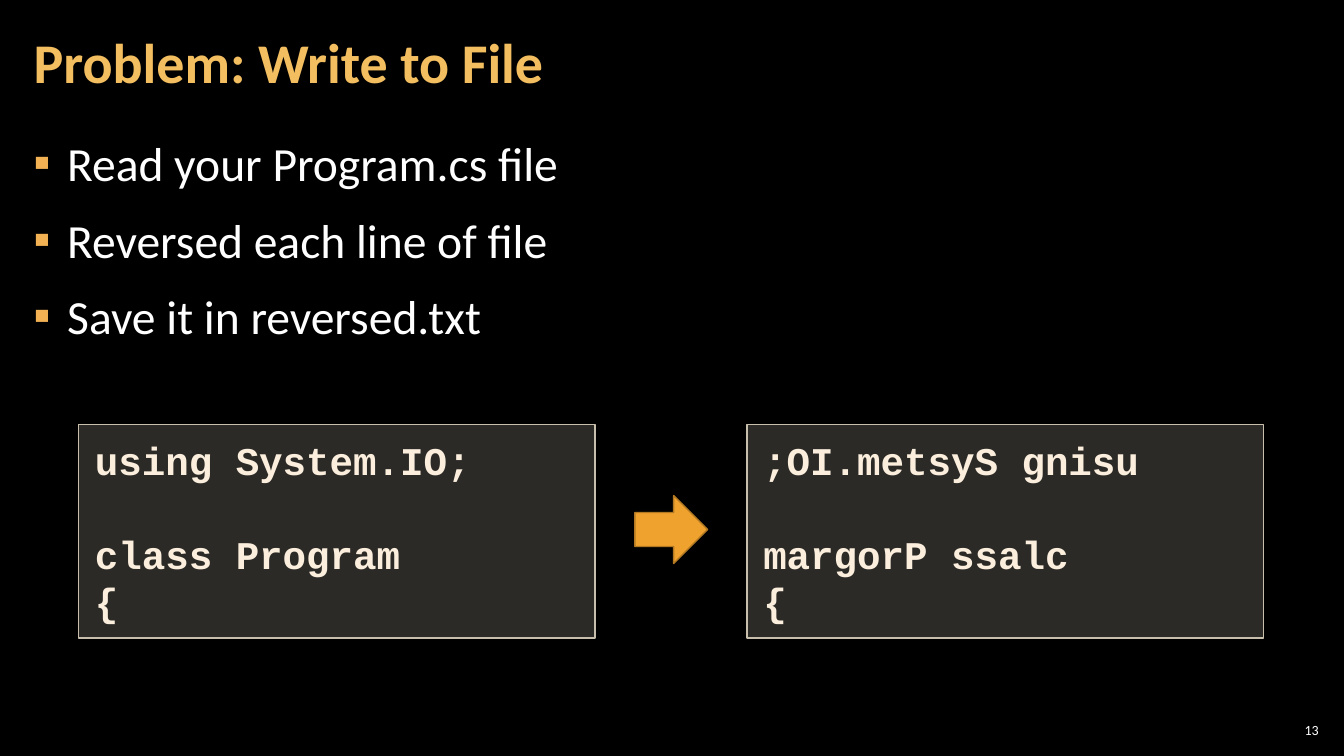
from lxml import etree
from pptx import Presentation
from pptx import util as u
from pptx.dml.color import RGBColor
from pptx.enum import shapes, text
from pptx.oxml.ns import qn

COLORS = {
    "background": "000000", "body": "FFFFFF", "title": "F3BE60", "bullet": "F2B254",
    "arrow": "F0A22E", "arrow_line": "B27822",
    "code": "FBEEDC", "panel": "D9D5C7", "panel_line": "C7BFAC",
}


def rgb(name):
    return RGBColor.from_string(COLORS[name])


def add_bullet(p, indent):
    pPr = p._p.get_or_add_pPr()
    pPr.set("marL", str(u.Pt(indent)))
    pPr.set("indent", str(-u.Pt(indent)))
    color = etree.SubElement(pPr, qn("a:buClr"))
    etree.SubElement(color, qn("a:srgbClr"), val=COLORS["bullet"])
    etree.SubElement(pPr, qn("a:buFont"), typeface="Calibri")
    etree.SubElement(pPr, qn("a:buChar"), char="▪")


def write(sp, lines, *, size, color, font="Calibri", bold=False, align="LEFT",
          anchor="TOP", margins=(9, 3), spacing=None, gap=0, indent=0):
    """Fill a shape with one paragraph per line; gap is the space before and after."""
    tf = sp.text_frame
    tf.word_wrap = True
    tf.auto_size = text.MSO_AUTO_SIZE.NONE
    tf.vertical_anchor = text.MSO_ANCHOR[anchor]
    tf.margin_left = tf.margin_right = u.Pt(margins[0])
    tf.margin_top = tf.margin_bottom = u.Pt(margins[1])
    for i, line in enumerate(lines):
        p = tf.paragraphs[0] if i == 0 else tf.add_paragraph()
        p.alignment = text.PP_ALIGN[align]
        if spacing:
            p.line_spacing = spacing
        if gap:
            p.space_before = u.Pt(gap if i else 0)
            p.space_after = u.Pt(gap)
        if indent:
            add_bullet(p, indent)
        if not line:
            etree.SubElement(p._p, qn("a:endParaRPr"), sz=str(size * 100))
            continue
        r = p.add_run()
        r.text = line
        r.font.name, r.font.size, r.font.bold = font, u.Pt(size), bold
        r.font.color.rgb = rgb(color)


class Deck:
    def __init__(self, width, height):
        self.prs = Presentation()
        self.prs.slide_width, self.prs.slide_height = u.Pt(width), u.Pt(height)
        self.s = self.prs.slides.add_slide(self.prs.slide_layouts[6])
        self.s.background.fill.solid()
        self.s.background.fill.fore_color.rgb = rgb("background")

    def label(self, box, lines, **style):
        sp = self.s.shapes.add_textbox(*map(u.Pt, box))
        write(sp, lines, **style)

    def shape(self, kind, box, fill, line, opacity=None):
        sp = self.s.shapes.add_shape(shapes.MSO_SHAPE[kind], *map(u.Pt, box))
        sp.shadow.inherit = False
        sp.fill.solid()
        sp.fill.fore_color.rgb = rgb(fill)
        sp.line.color.rgb = rgb(line)
        sp.line.width = u.Pt(1)
        if opacity:
            color = sp._element.spPr.find(qn("a:solidFill"))[0]
            etree.SubElement(color, qn("a:alpha"), val=str(opacity * 1000))
        return sp

    def code(self, box, lines):
        sp = self.shape("RECTANGLE", box, "panel", "panel_line", opacity=20)
        write(sp, lines, size=28, color="code", font="Courier New", bold=True,
              margins=(11.5, 8.5), spacing=u.Pt(33.6))


def main():
    deck = Deck(960, 540)
    deck.label((911, 514, 34, 15), ["13"], size=10, color="body",
               align="RIGHT", anchor="MIDDLE", margins=(3, 3))
    deck.label((15, 90.5, 930, 438.5),
               ["Read your Program.cs file", "Reversed each line of file",
                "Save it in reversed.txt"],
               size=34, color="body", spacing=1.05, gap=6, indent=24)
    deck.label((15, 3, 754, 87), ["Problem: Write to File"], size=40,
               color="title", bold=True, anchor="MIDDLE", spacing=0.9)
    deck.shape("RIGHT_ARROW", (453.5, 354, 52, 48.5), "arrow", "arrow_line")

    panels = [
        ["using System.IO;", "", "class Program", "{"],
        [";OI.metsyS gnisu", "", "margorP ssalc", "{"],
    ]
    for i, lines in enumerate(panels):
        deck.code((56.3 + i * 477.4, 303.1, 368.8, 152.8), lines)
    deck.prs.save("out.pptx")


if __name__ == "__main__":
    main()
